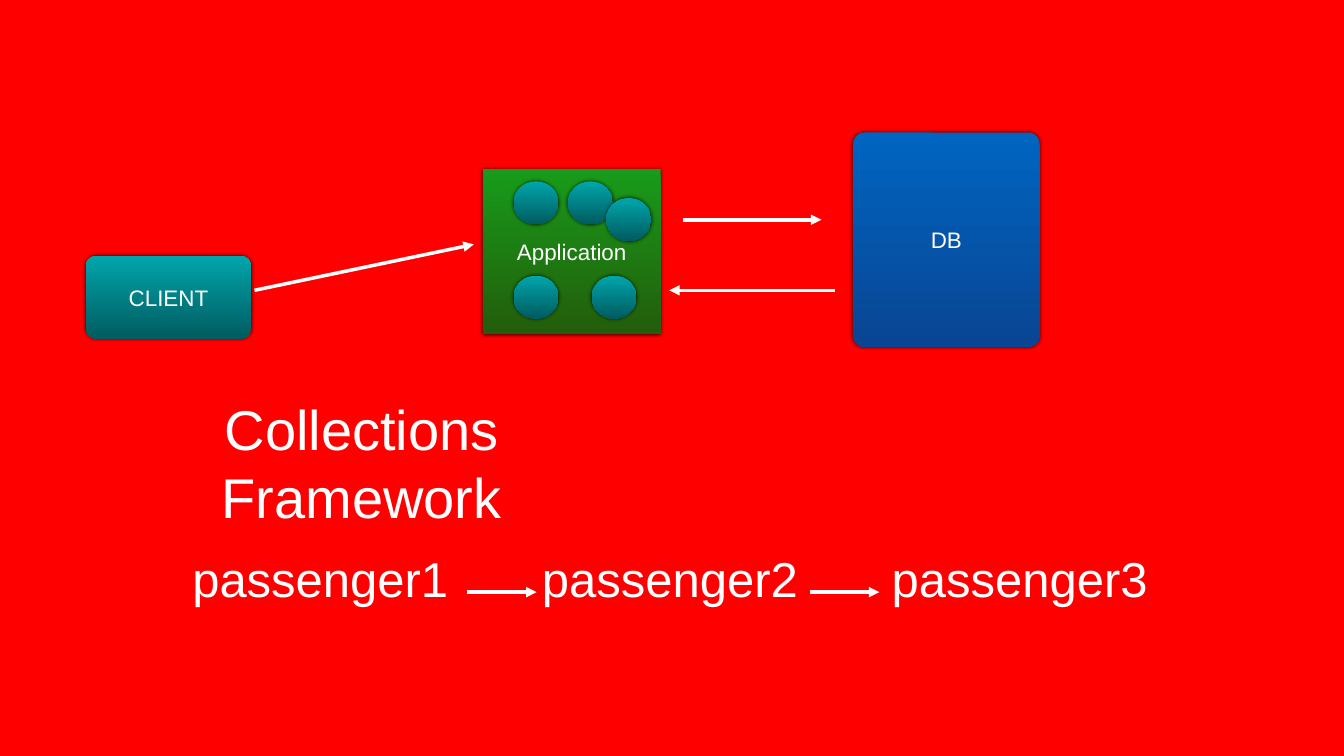
from dataclasses import dataclass

from lxml.etree import SubElement
from pptx import Presentation
from pptx.dml.color import RGBColor
from pptx.enum.shapes import MSO_CONNECTOR, MSO_SHAPE
from pptx.enum.text import MSO_ANCHOR, MSO_AUTO_SIZE, PP_ALIGN
from pptx.oxml.ns import qn
from pptx.util import Inches, Pt

COLORS = {
    "background": "FF0000", "white": "FFFFFF", "shadow": "000000",
    "teal": "00A6AC", "teal_dark": "005C60",
    "green": "189B1A", "green_dark": "235D0B",
    "blue": "0065C1", "blue_dark": "094593",
}
WIDTH, HEIGHT = Inches(26.67), Inches(15)


@dataclass(frozen=True)
class Box:
    left: float
    top: float
    width: float
    height: float

    def emu(self) -> tuple[int, int, int, int]:
        return x(self.left), y(self.top), x(self.width), y(self.height)


@dataclass(frozen=True)
class Node:
    box: Box
    color: str
    shape: MSO_SHAPE = MSO_SHAPE.OVAL
    text: str = ""
    corner: float | None = None


@dataclass(frozen=True)
class Arrow:
    x1: float
    y1: float
    x2: float
    y2: float


def x(percent: float) -> int:
    return round(WIDTH * percent / 100)


def y(percent: float) -> int:
    return round(HEIGHT * percent / 100)


def rgb(name: str) -> RGBColor:
    return RGBColor.from_string(COLORS[name])


def write(tf, text: str, *, size: float, color: str = "white", font: str = "Arial",
          align=PP_ALIGN.CENTER, wrap: bool = True) -> None:
    tf.word_wrap = wrap
    tf.auto_size = MSO_AUTO_SIZE.NONE if wrap else MSO_AUTO_SIZE.SHAPE_TO_FIT_TEXT
    tf.vertical_anchor = MSO_ANCHOR.MIDDLE
    tf.margin_left = tf.margin_right = tf.margin_top = tf.margin_bottom = Inches(0.06)
    p = tf.paragraphs[0]
    p.alignment = align
    r = p.add_run()
    r.text = text
    r.font.name, r.font.size = font, Pt(size)
    r.font.color.rgb = rgb(color)


def add_label(s, box: Box, text: str, size: float) -> None:
    write(s.shapes.add_textbox(*box.emu()).text_frame, text, size=size, wrap=False)


def add_node(s, node: Node) -> None:
    sp = s.shapes.add_shape(node.shape, *node.box.emu())
    if node.corner is not None:
        sp.adjustments[0] = node.corner
    sp.fill.gradient()
    sp.fill.gradient_angle = 270
    for stop, name in zip(sp.fill.gradient_stops, (node.color, f"{node.color}_dark")):
        stop.color.rgb = rgb(name)
    sp.line.fill.background()
    sp.shadow.inherit = False
    effects = sp.element.spPr.find(qn("a:effectLst"))
    shadow = SubElement(effects, qn("a:outerShdw"), blurRad=str(Pt(6)), dist="0",
                        dir="18900000", rotWithShape="0")
    tint = SubElement(shadow, qn("a:srgbClr"), val=COLORS["shadow"])
    SubElement(tint, qn("a:alpha"), val="80000")
    if node.text:
        write(sp.text_frame, node.text, size=32)


def add_arrow(s, arrow: Arrow) -> None:
    line = s.shapes.add_connector(MSO_CONNECTOR.STRAIGHT, x(arrow.x1), y(arrow.y1),
                                  x(arrow.x2), y(arrow.y2))
    line.line.color.rgb = rgb("white")
    line.line.width = Pt(5)
    SubElement(line.line._get_or_add_ln(), qn("a:tailEnd"), type="triangle")
    SubElement(line.element.spPr, qn("a:effectLst"))


PASSENGERS = ("passenger1", "passenger2", "passenger3")
NODES = (
    Node(Box(63.48, 17.53, 13.87, 28.33), "blue", MSO_SHAPE.ROUNDED_RECTANGLE, "DB", 0.06),
    Node(Box(35.92, 22.4, 13.24, 21.8), "green", MSO_SHAPE.RECTANGLE, "Application"),
    Node(Box(6.37, 33.8, 12.34, 11), "teal", MSO_SHAPE.ROUNDED_RECTANGLE, "CLIENT", 0.13),
)
OBJECTS = ((38.21, 24), (42.26, 24), (44.02, 36.47), (38.21, 36.47), (45.11, 26.2))
ARROWS = (
    Arrow(50.84, 29.07, 61.12, 29.07),
    Arrow(62.13, 38.4, 49.79, 38.4),
    Arrow(18.94, 38.4, 35.25, 32.33),
)


def main() -> None:
    """Build the client, application and database slide."""
    prs = Presentation()
    prs.slide_width, prs.slide_height = WIDTH, HEIGHT
    s = prs.slides.add_slide(prs.slide_layouts[6])
    s.background.fill.solid()
    s.background.fill.fore_color.rgb = rgb("background")

    for i, name in enumerate(PASSENGERS):
        add_label(s, Box(13.87 + 26.02 * i, 72.13, 19.91, 8.53), name, 70)
    for i in range(len(PASSENGERS) - 1):
        start = 34.76 + 25.5 * i
        add_arrow(s, Arrow(start, 78.33, start + 5.17, 78.33))
    add_label(s, Box(5.51, 56.33, 42.82, 9.6), "Collections Framework", 80)
    for node in NODES:
        add_node(s, node)
    for arrow in ARROWS:
        add_arrow(s, arrow)
    for left, top in OBJECTS:
        add_node(s, Node(Box(left, top, 3.34, 5.67), "teal"))

    prs.save("out.pptx")


if __name__ == "__main__":
    main()
